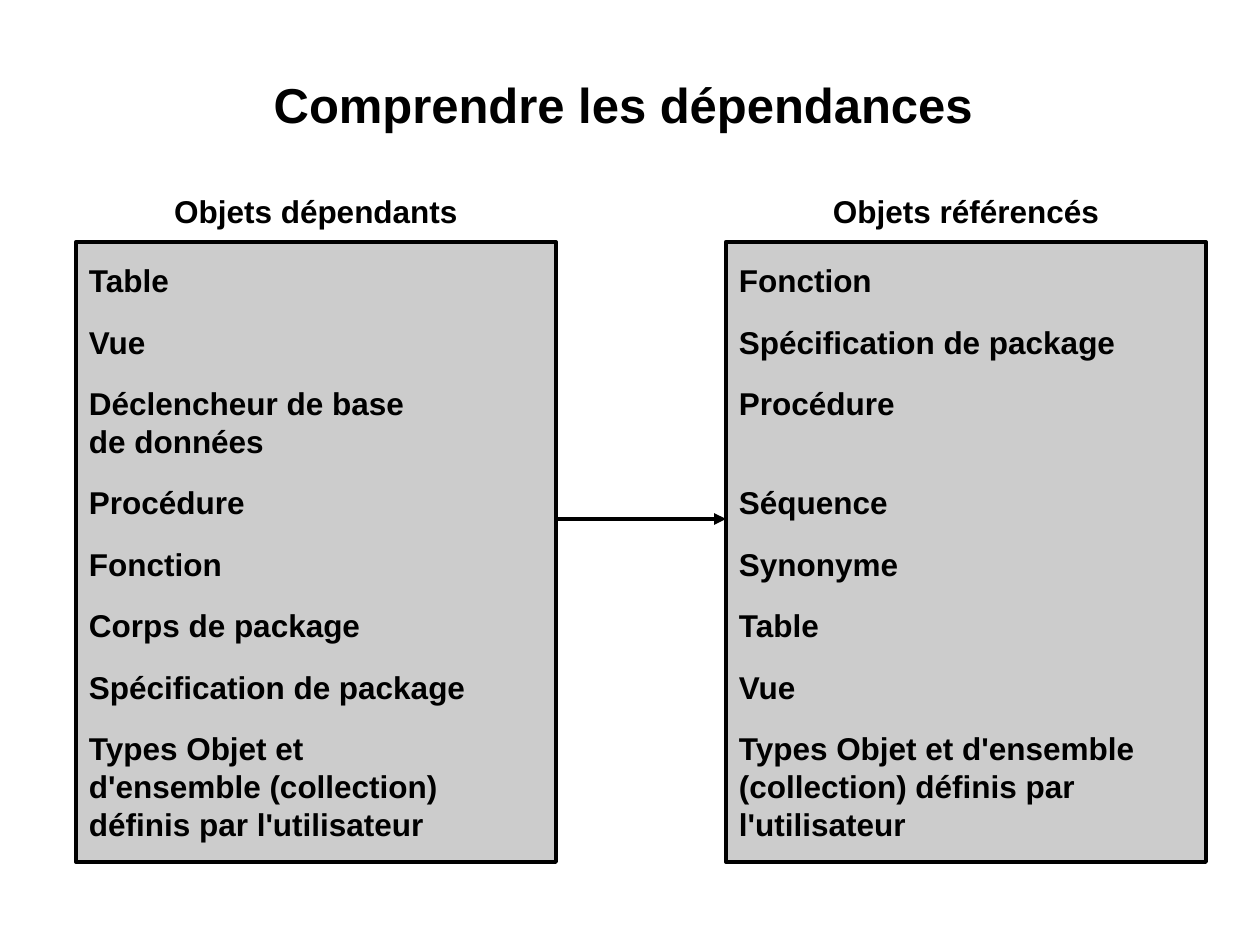
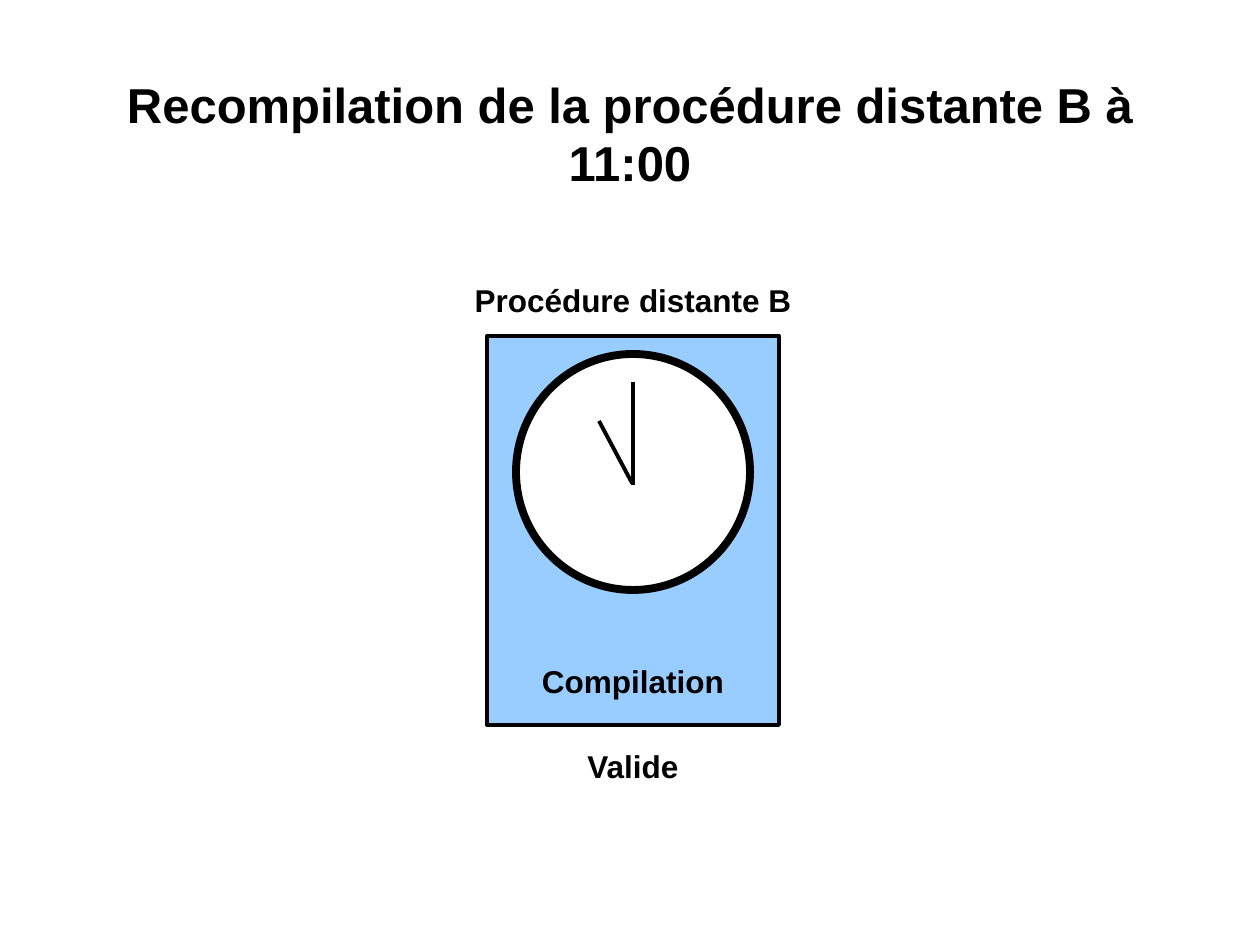
from pptx import Presentation
from pptx import util as u
from pptx.dml.color import RGBColor
from pptx.enum import shapes, text
from pptx.oxml import parse_xml
from pptx.oxml.ns import nsdecls

BLACK = RGBColor(0x00, 0x00, 0x00)
WHITE = RGBColor(0xFF, 0xFF, 0xFF)
GREY = RGBColor(0xCC, 0xCC, 0xCC)
BLUE = RGBColor(0x99, 0xCC, 0xFF)
FONT = "Arial"
LINE_WIDTH = 2.25
ITEM_GAP = 13.5
SKIPPED_LINE_GAP = 35
LABEL_HEIGHT = 50
LABEL_OVERHANG = 30
TITLE_BOX = (126, 73, 1008, 121)

DEPENDENT = [
    "Table",
    "Vue",
    "Déclencheur de base\nde données",
    "Procédure",
    "Fonction",
    "Corps de package",
    "Spécification de package",
    "Types Objet et\nd'ensemble (collection)\ndéfinis par l'utilisateur",
]
REFERENCED = [
    "Fonction",
    "Spécification de package",
    "Procédure",
    "Séquence",
    "Synonyme",
    "Table",
    "Vue",
    "Types Objet et d'ensemble\n(collection) définis par\nl'utilisateur",
]


def px(length):
    """Turn pixels (126 to the inch) into EMU."""
    return u.Emu(round(length * 914400 / 126))


def write(frame, paragraphs, size=18, align=text.PP_ALIGN.LEFT,
          anchor=text.MSO_ANCHOR.TOP, inset=(13, 6), gaps=None):
    """Fill a text frame with bold paragraphs, each with its own gap above."""
    frame.word_wrap = True
    frame.vertical_anchor = anchor
    frame.margin_left = frame.margin_right = px(inset[0])
    frame.margin_top = frame.margin_bottom = px(inset[1])
    for index, wording in enumerate(paragraphs):
        paragraph = frame.add_paragraph() if index else frame.paragraphs[0]
        paragraph.text = wording
        paragraph.alignment = align
        if index and gaps:
            paragraph.space_before = u.Pt(gaps[index])
        for run in paragraph.runs:
            run.font.name = FONT
            run.font.size = u.Pt(size)
            run.font.bold = True
            run.font.color.rgb = BLACK


def add_text(slide, box, wording, **style):
    """Add a centred text box."""
    frame = slide.shapes.add_textbox(*map(px, box)).text_frame
    write(frame, [wording], align=text.PP_ALIGN.CENTER, **style)


def add_title(slide, wording):
    """Add the slide title."""
    add_text(slide, TITLE_BOX, wording, size=28, inset=(1, 1))


def add_label(slide, box, top, wording):
    """Add a label centred on a box, at an offset from its top."""
    left, box_top, width, _ = box
    add_text(slide, (left - LABEL_OVERHANG, box_top + top,
                     width + 2 * LABEL_OVERHANG, LABEL_HEIGHT), wording)


def add_outlined(slide, kind, box, fill, line_width=LINE_WIDTH):
    """Add a filled shape with a black outline."""
    shape = slide.shapes.add_shape(kind, *map(px, box))
    shape.shadow.inherit = False
    shape.fill.solid()
    shape.fill.fore_color.rgb = fill
    shape.line.color.rgb = BLACK
    shape.line.width = u.Pt(line_width)
    return shape


def add_line(slide, start, end, arrow=False):
    """Add a straight black line, with an arrowhead at its end if asked."""
    line = slide.shapes.add_connector(
        shapes.MSO_CONNECTOR.STRAIGHT, *map(px, start + end))
    line.line.color.rgb = BLACK
    line.line.width = u.Pt(LINE_WIDTH)
    if arrow:
        line.line._get_or_add_ln().append(
            parse_xml(f'<a:tailEnd {nsdecls("a")} type="triangle"/>'))
    line._element.spPr.append(parse_xml(f'<a:effectLst {nsdecls("a")}/>'))


def add_object_list(slide, box, heading, items, skip_before=None):
    """Add a headed panel of items, with a line skipped before one of them."""
    panel = add_outlined(slide, shapes.MSO_SHAPE.RECTANGLE, box, GREY)
    gaps = [SKIPPED_LINE_GAP if item == skip_before else ITEM_GAP for item in items]
    write(panel.text_frame, items, anchor=text.MSO_ANCHOR.MIDDLE, gaps=gaps)
    add_label(slide, box, -56, heading)


def add_clock(slide, box):
    """Add a clock face showing eleven o'clock."""
    left, top, width, _ = box
    centre = left + width // 2
    add_outlined(slide, shapes.MSO_SHAPE.OVAL, box, WHITE, line_width=4.5)
    add_line(slide, (centre, top + 28), (centre, top + 131))
    add_line(slide, (centre - 1, top + 129), (centre - 34, top + 67))


def add_procedure(slide, box):
    """Add the procedure panel with its clock and labels."""
    left, top, width, height = box
    add_outlined(slide, shapes.MSO_SHAPE.RECTANGLE, box, BLUE)
    add_clock(slide, (left + 29, top + 18, width - 58, 236))
    add_label(slide, box, -61, "Procédure distante B")
    add_label(slide, box, 320, "Compilation")
    add_label(slide, box, height + 16, "Valide")


def build_dependencies(slide):
    """Build the slide on dependent and referenced objects."""
    left, right, top, width, height = 76, 726, 242, 480, 620
    arrow_y = top + 277
    add_title(slide, "Comprendre les dépendances ")
    add_object_list(slide, (left, top, width, height), "Objets dépendants", DEPENDENT)
    add_object_list(slide, (right, top, width, height), "Objets référencés",
                    REFERENCED, skip_before="Séquence")
    add_line(slide, (left + width, arrow_y), (right, arrow_y), arrow=True)


def build_recompilation(slide):
    """Build the slide on recompiling the remote procedure."""
    add_title(slide, "Recompilation de la procédure distante B à 11:00")
    add_procedure(slide, (487, 336, 292, 389))


def main():
    """Build both slides and save them."""
    deck = Presentation()
    deck.slide_width, deck.slide_height = px(1260), px(945)
    for build in (build_dependencies, build_recompilation):
        build(deck.slides.add_slide(deck.slide_layouts[6]))
    deck.save("out.pptx")


if __name__ == "__main__":
    main()
